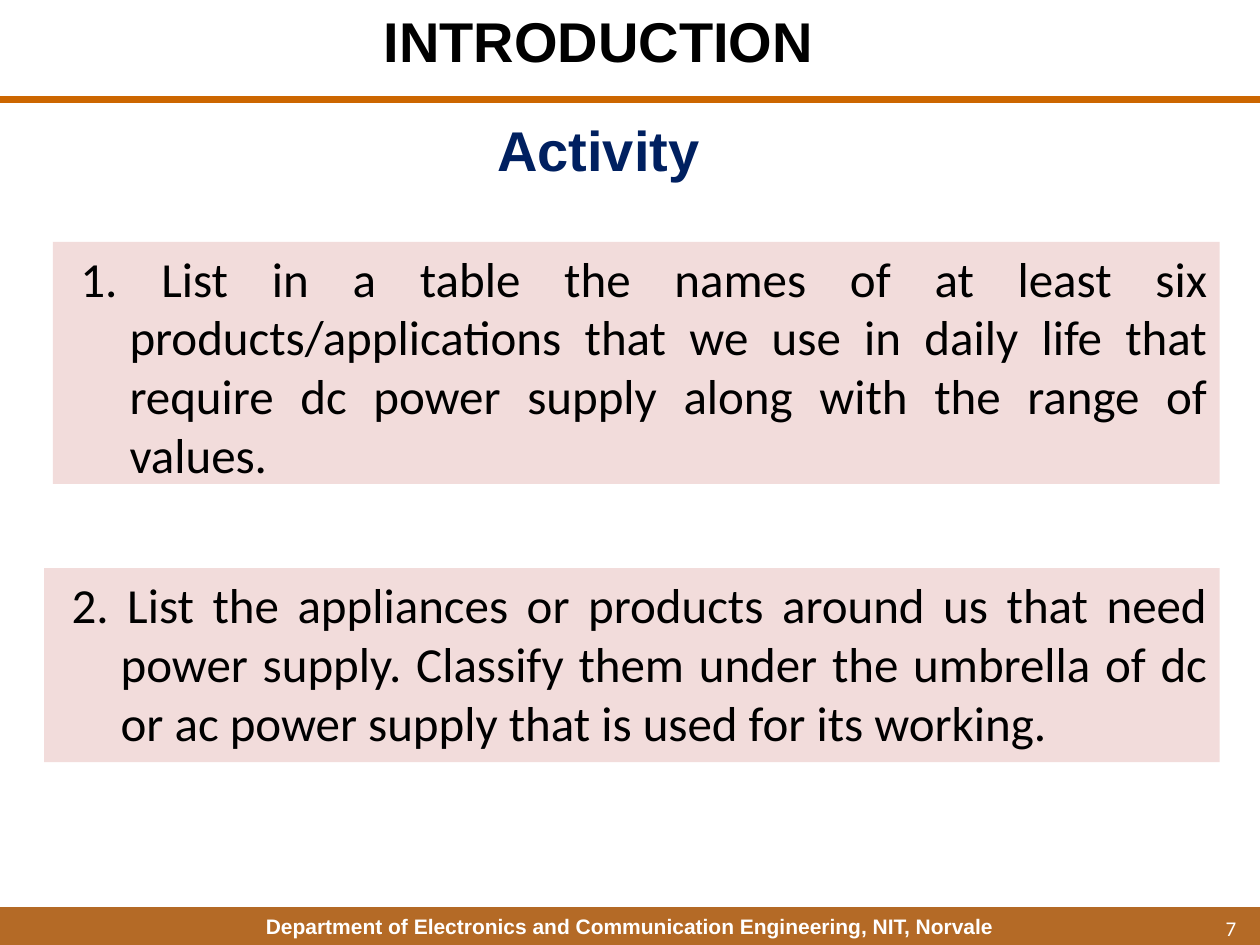
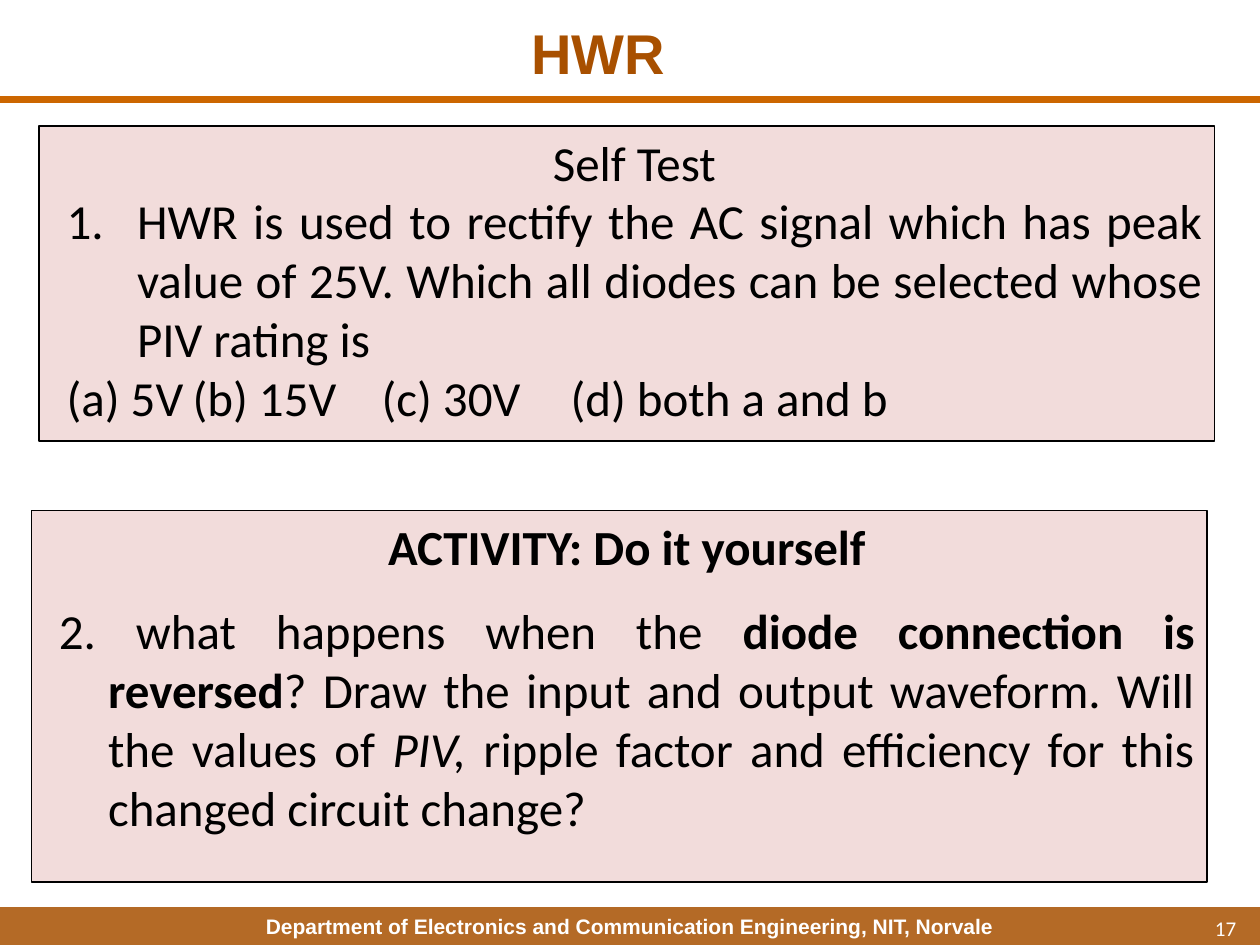
import lxml.etree
import pptx
import pptx.dml.color
import pptx.enum.shapes
import pptx.enum.text
import pptx.oxml.ns
import pptx.util

Inches = pptx.util.Inches
Pt = pptx.util.Pt
RGBColor = pptx.dml.color.RGBColor
ALIGN = pptx.enum.text.PP_ALIGN
ANCHOR = pptx.enum.text.MSO_ANCHOR
SHAPES = pptx.enum.shapes
qn = pptx.oxml.ns.qn

BROWN = RGBColor(0xA8, 0x50, 0x00)
ORANGE = RGBColor(0xCC, 0x66, 0x00)
NAVY = RGBColor(0x00, 0x20, 0x60)
PINK = RGBColor(0xF2, 0xDC, 0xDB)
BLACK = RGBColor(0x00, 0x00, 0x00)
WHITE = RGBColor(0xFF, 0xFF, 0xFF)

WIDE, HIGH = 10, 7.5
BAND = (0, 7.2, WIDE, 0.3)
HANG = (0.51, -0.39)
FOOTER = "Department of Electronics and Communication Engineering, NIT, Norvale"


def add_run(para, text, size, font, color, bold=False, slant=False):
    """Add one styled run to a paragraph."""
    run = para.add_run()
    run.text = text
    run.font.size = Pt(size)
    run.font.name = font
    run.font.color.rgb = color
    run.font.bold = bold
    run.font.italic = slant


def add_label(slide, box, text, size, font, color, bold=True,
              align=ALIGN.CENTER, anchor=ANCHOR.MIDDLE):
    """Place one line of text in a box."""
    frame = slide.shapes.add_textbox(*map(Inches, box)).text_frame
    frame.word_wrap = True
    frame.vertical_anchor = anchor
    para = frame.paragraphs[0]
    para.alignment = align
    add_run(para, text, size, font, color, bold)


def add_title(slide, box, text, color, anchor=ANCHOR.MIDDLE):
    """Place a large bold heading."""
    add_label(slide, box, text, 32, "Arial", color, anchor=anchor)


def add_rect(slide, box, fill):
    """Draw a filled rectangle without outline or shadow."""
    rect = slide.shapes.add_shape(SHAPES.MSO_SHAPE.RECTANGLE, *map(Inches, box))
    rect.shadow.inherit = False
    rect.fill.solid()
    rect.fill.fore_color.rgb = fill
    rect.line.fill.background()
    return rect


def add_frame(slide, page):
    """Draw the footer band, the rule under the title and the page number."""
    band = add_rect(slide, BAND, BROWN)
    tint = band.fill._xPr.find(qn("a:solidFill"))[0]
    lxml.etree.SubElement(tint, qn("a:alpha")).set("val", "85000")
    add_label(slide, BAND, FOOTER, 12, "Arial", WHITE, anchor=ANCHOR.TOP)
    rule = slide.shapes.add_connector(
        SHAPES.MSO_CONNECTOR.STRAIGHT,
        *map(Inches, (0, 0.79, WIDE, 0.79)))
    rule.line.color.rgb = ORANGE
    rule.line.width = Pt(4.5)
    lxml.etree.SubElement(rule._element.spPr, qn("a:effectLst"))
    add_label(slide, (7.58, 7.17, 2.33, 0.4), str(page), 12, "Calibri", WHITE,
              bold=False, align=ALIGN.RIGHT)


def add_para(para, runs, align=ALIGN.JUSTIFY, indent=HANG, before=0, count=False):
    """Fill a panel paragraph with (text, bold, italic) runs."""
    para.alignment = align
    para.space_before = Pt(before)
    props = para._p.get_or_add_pPr()
    for name, value in zip(("marL", "indent"), indent):
        props.set(name, str(Inches(value)))
    if count:
        bullet = lxml.etree.SubElement(props, qn("a:buAutoNum"))
        bullet.set("type", "arabicPeriod")
    for text, bold, slant in runs:
        add_run(para, text, 28, "Calibri", BLACK, bold, slant)


def add_panel(slide, box, paras, edge=False):
    """Draw a pink panel that holds the given paragraphs."""
    panel = add_rect(slide, box, PINK)
    if edge:
        panel.line.color.rgb = BLACK
        panel.line.width = Pt(0.75)
    frame = panel.text_frame
    frame.word_wrap = True
    frame.vertical_anchor = ANCHOR.TOP
    for index, (runs, style) in enumerate(paras):
        para = frame.add_paragraph() if index else frame.paragraphs[0]
        add_para(para, runs, **style)


def plain(text, **style):
    """Give a paragraph of one regular run."""
    return [(text, False, False)], style


def build_intro(slide):
    """Build the introduction slide with two activities."""
    add_frame(slide, 7)
    add_title(slide, (0.25, -0.04, 9, 0.71), "INTRODUCTION", BLACK)
    add_title(slide, (2.71, 0.87, 4.08, 0.69), "Activity", NAVY, ANCHOR.TOP)
    add_panel(slide, (0.42, 1.92, 9.26, 1.92), [plain(
        "1. List in a table the names of at least six products/applications "
        "that we use in daily life that require dc power supply along with "
        "the range of values.")])
    add_panel(slide, (0.35, 4.51, 9.33, 1.54), [plain(
        "2. List the appliances or products around us that need power supply. "
        "Classify them under the umbrella of dc or ac power supply that is "
        "used for its working.")])


def build_test(slide):
    """Build the self test slide."""
    add_frame(slide, 17)
    add_title(slide, (0.25, -0.04, 9, 0.9), "HWR", BROWN)
    add_panel(slide, (0.31, 1, 9.33, 2.5), [
        plain("Self Test", align=ALIGN.CENTER),
        plain("HWR is used to rectify the AC signal which has peak value of "
              "25V. Which all diodes can be selected whose PIV rating is",
              indent=(0.68, -0.56), count=True),
        plain("(a) 5V\t(b) 15V\t(c) 30V\t(d) both a and b", indent=(0.12, 0)),
    ], edge=True)
    add_panel(slide, (0.25, 4.05, 9.33, 2.95), [
        ([("ACTIVITY: Do it yourself", True, False)], {"align": ALIGN.CENTER}),
        ([("2. what happens when the ", False, False),
          ("diode connection is reversed", True, False),
          ("? Draw the input and output waveform. Will the values of ",
           False, False),
          ("PIV,", False, True),
          (" ripple factor and efficiency for this changed circuit change?",
           False, False)], {"before": 14.6}),
    ], edge=True)


def main():
    """Build and save the deck."""
    deck = pptx.Presentation()
    deck.slide_width, deck.slide_height = Inches(WIDE), Inches(HIGH)
    for build in (build_intro, build_test):
        build(deck.slides.add_slide(deck.slide_layouts[6]))
    deck.save("out.pptx")


if __name__ == "__main__":
    main()
